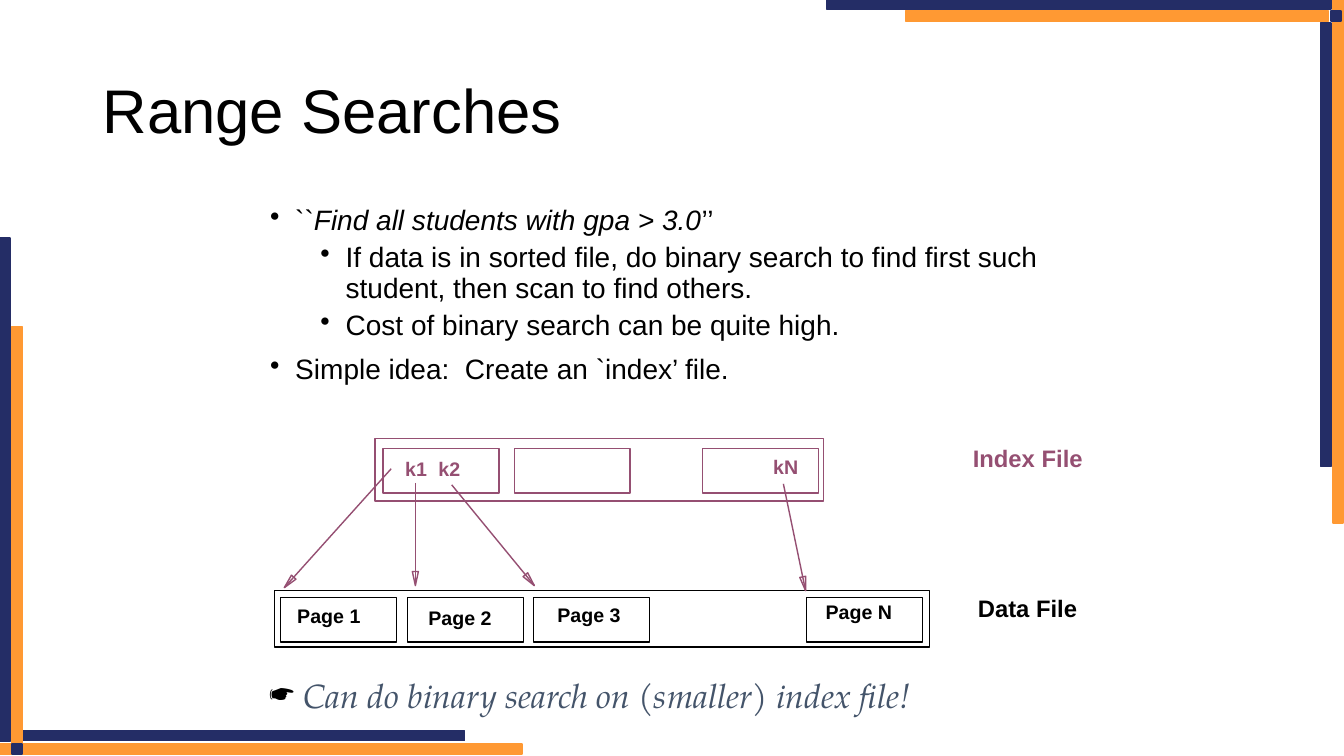
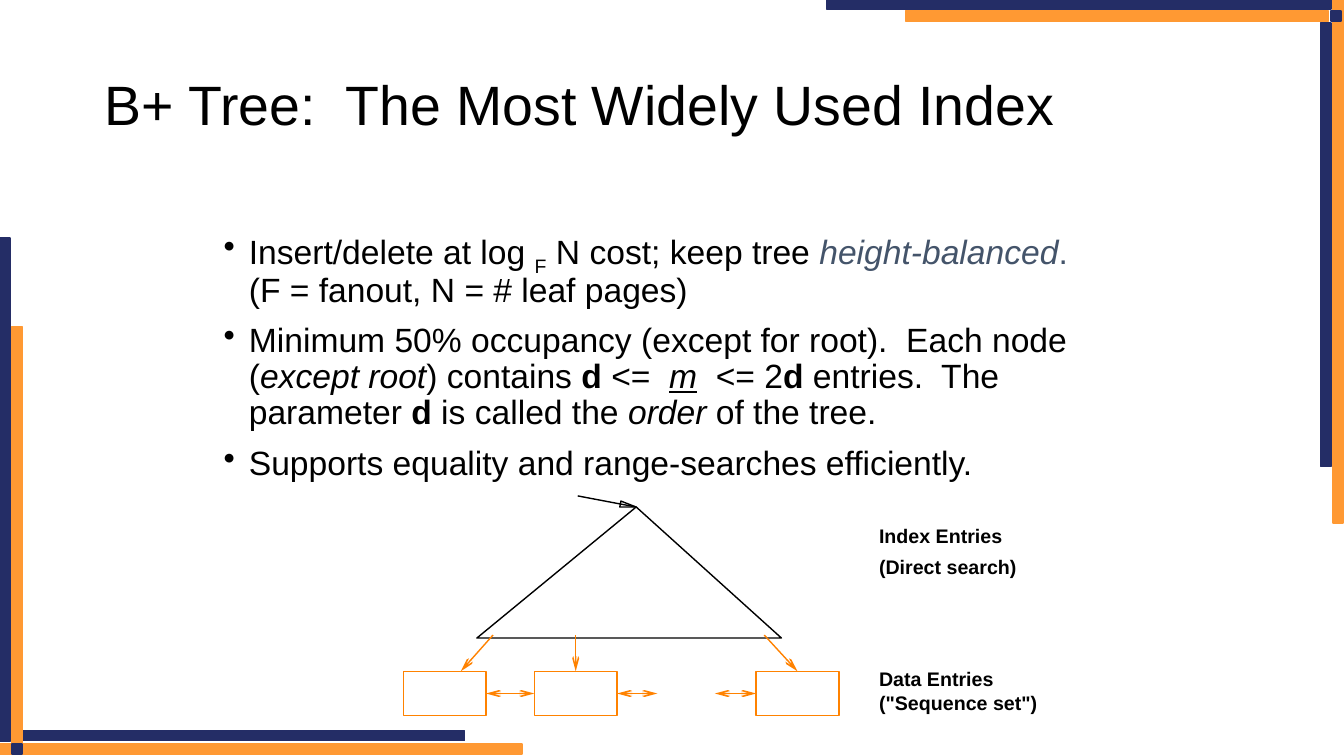
from dataclasses import dataclass
from math import hypot

from lxml.etree import SubElement
from pptx import Presentation
from pptx.dml.color import RGBColor
from pptx.enum.shapes import MSO_CONNECTOR as Connector, MSO_SHAPE as Shape
from pptx.enum.text import MSO_ANCHOR as Anchor
from pptx.oxml.ns import qn
from pptx.util import Emu, Pt

PX = 9144  # EMU in one px, 100 px to the inch
TOP, LEFT, RIGHT = 0, 1, 3  # connection sites of a rectangle


@dataclass(frozen=True)
class Theme:
    font: str = "Arial"
    note_font: str = "TeX Gyre Pagella"
    ink: str = "000000"
    navy: str = "242D66"
    orange: str = "FF9933"
    leaf: str = "FF8200"
    plum: str = "954F72"
    accent: str = "44546A"
    line: int = 1
    label: int = 14
    file_label: int = 17
    note: int = 24


THEME = Theme()

BANDS = [  # left, top, width, height, colour
    (1322, -1, 10, 520, THEME.orange), (1310, 23, 10, 440, THEME.navy),
    (820, -1, 500, 10, THEME.navy), (898, 11, 420, 10, THEME.orange),
    (1320, 11, 10, 10, THEME.navy),
    (-2, 738, 520, 10, THEME.orange), (21, 725, 440, 10, THEME.navy),
    (0, 236, 10, 500, THEME.navy), (12, 324, 10, 420, THEME.orange),
    (12, 738, 10, 10, THEME.navy),
]

# A paragraph is (level, spans); a span is (text, style words).
RANGE_TITLE = ("Range Searches", (92, 40, 1150, 145), 44)
RANGE_BODY = [
    (0, [("``", ""), ("Find all students with gpa > 3.0", "italic"), ("’’", "")]),
    (1, [("If data is in sorted file, do binary search to find first such "
          "student, then scan to find others.", "")]),
    (1, [("Cost of binary search can be quite high.", "")]),
    (0, [("Simple idea:  Create an `index’ file.", "")]),
]
RANGE_NOTE = [(" ", ""), ("Can do binary search on (smaller) index file!", "italic accent")]
FILES = [  # colour, frame, cell top, cell lefts
    (THEME.plum, (372, 435, 445, 62), 445, (380, 510, 697)),
    (THEME.ink, (272, 586, 650, 56), 593, (278, 404, 529, 800)),
]
CELL = (115, 44)
KEY_ARROWS = [
    ((388, 465), (282, 583)), ((412, 479), (412, 581)),
    ((448, 481), (530, 581)), ((777, 480), (799, 586)),
]
RANGE_LABELS = [  # text, left, top, width, size, colour
    ("k1", 392, 448, 42, THEME.label, THEME.plum),
    ("k2", 425, 448, 42, THEME.label, THEME.plum),
    ("kN", 757, 446, 45, THEME.label, THEME.plum),
    ("Page 1", 285, 594, 83, THEME.label, THEME.ink),
    ("Page 2", 415, 596, 83, THEME.label, THEME.ink),
    ("Page 3", 543, 593, 83, THEME.label, THEME.ink),
    ("Page N", 809, 590, 86, THEME.label, THEME.ink),
    ("Index File", 955, 435, 130, THEME.file_label, THEME.plum),
    ("Data File", 960, 584, 120, THEME.file_label, THEME.ink),
]

TREE_TITLE = ("B+ Tree:  The Most Widely Used Index", (94, 46, 995, 121), 39.6)
TREE_BODY = [
    (0, [("Insert/delete at log ", ""), ("F", "subscript"), (" N cost; keep tree ", ""),
         ("height-balanced", "italic accent"), (".", "accent"), ("\v", ""),
         ("(F = fanout, N = # leaf pages)", "")]),
    (0, [("Minimum 50% occupancy (except for root).  Each node (", ""),
         ("except root", "italic"), (") contains ", ""), ("d", "bold"), (" <=  ", ""),
         ("m", "italic underline"), ("  <= 2", ""), ("d", "bold"),
         (" entries.  The parameter ", ""), ("d", "bold"), (" is called the ", ""),
         ("order", "italic"), (" of the tree.", "")]),
    (0, [("Supports equality and range-searches efficiently.", "")]),
]
TRIANGLE = (473, 503, 302, 130)
APEX = (631, 503)
ROOT_POINTER_START = (573, 492)
LEAF_LEFTS = (400, 530, 750)
LEAF_TOP, LEAF_WIDTH, LEAF_HEIGHT = 666, 82, 44
TREE_LABELS = [
    (text, 862, top, width, THEME.label, THEME.ink)
    for text, top, width in [
        ("Index Entries", 515, 143), ("(Direct search)", 546, 157),
        ("Data Entries", 657, 134), ('("Sequence set")', 681, 178),
    ]
]


def px(*lengths):
    return [Emu(round(length * PX)) for length in lengths]


def rgb(colour):
    return RGBColor.from_string(colour)


def outline(shape, colour):
    shape.line.color.rgb = rgb(colour)
    shape.line.width = Pt(THEME.line)


def add_box(page, place, colour, fill=None, preset=Shape.RECTANGLE):
    box = page.shapes.add_shape(preset, *px(*place))
    box.shadow.inherit = False
    outline(box, colour)
    if fill:
        box.fill.solid()
        box.fill.fore_color.rgb = rgb(fill)
    else:
        box.fill.background()
    return box


def add_line(page, start, end, colour, heads=()):
    """Draw a straight connector; heads lists which of headEnd, tailEnd get an open arrow."""
    line = page.shapes.add_connector(Connector.STRAIGHT, *px(*start, *end))
    outline(line, colour)
    for head in heads:
        SubElement(line.get_or_add_ln(), qn(f"a:{head}"), type="arrow", w="sm", len="lg")
    SubElement(line._element.spPr, qn("a:effectLst"))
    return line


def add_hollow_arrow(page, start, end, colour, length=14, half_width=3):
    """Draw a line whose head is an unfilled triangle."""
    add_line(page, start, end, colour)
    (x0, y0), (x1, y1) = start, end
    reach = hypot(x1 - x0, y1 - y0)
    ux, uy = (x1 - x0) / reach, (y1 - y0) / reach
    base_x, base_y = x1 - length * ux, y1 - length * uy
    corners = [(base_x + side * uy, base_y - side * ux) for side in (half_width, -half_width)]
    builder = page.shapes.build_freeform(*px(*end))
    builder.add_line_segments([px(*corner) for corner in corners], close=True)
    head = builder.convert_to_shape()
    head.shadow.inherit = False
    head.fill.background()
    outline(head, colour)


def style_run(run, size, words="", colour=THEME.ink, font=THEME.font):
    run.font.name = font
    run.font.size = Pt(size)
    run.font.color.rgb = rgb(THEME.accent if "accent" in words else colour)
    run.font.bold = "bold" in words
    run.font.italic = "italic" in words
    run.font.underline = "underline" in words
    if "subscript" in words:
        run._r.get_or_add_rPr().set("baseline", "-25000")


def add_spans(para, spans, size, font=THEME.font):
    for text, words in spans:
        if text == "\v":
            para.add_line_break()
            continue
        span = para.add_run()
        span.text = text
        style_run(span, size, words, font=font)


def set_bullet(para, char, margin=0, indent=0):
    properties = para._p.get_or_add_pPr()
    properties.set("marL", str(margin * PX))
    properties.set("indent", str(indent * PX))
    SubElement(properties, qn("a:buChar"), char=char)


def add_text_frame(page, place, wrap=True):
    frame = page.shapes.add_textbox(*px(*place)).text_frame
    frame.word_wrap = wrap
    return frame


def add_title(page, text, place, size):
    frame = add_text_frame(page, place)
    frame.vertical_anchor = Anchor.MIDDLE
    frame.text = text
    frame.paragraphs[0].line_spacing = 0.9
    style_run(frame.paragraphs[0].runs[0], size)


def add_body(page, paragraphs, place, size):
    frame = add_text_frame(page, place)
    for number, (level, spans) in enumerate(paragraphs):
        para = frame.add_paragraph() if number else frame.paragraphs[0]
        para.level = level
        para.line_spacing = 0.9
        para.space_before = Pt(5 if level else 10)
        set_bullet(para, "•", 25 + 50 * level, -25)
        add_spans(para, spans, size)


def add_labels(page, labels):
    for text, left, top, width, size, colour in labels:
        frame = add_text_frame(page, (left, top, width, 33 if size == THEME.label else 38), False)
        frame.text = text
        style_run(frame.paragraphs[0].runs[0], size, "bold", colour)


def add_page(deck, title):
    page = deck.slides.add_slide(deck.slide_layouts[6])
    for *place, colour in BANDS:
        add_box(page, place, colour, fill=colour)
    add_title(page, *title)
    return page


def build_range_page(deck):
    page = add_page(deck, RANGE_TITLE)
    add_body(page, RANGE_BODY, (258, 200, 867, 550), 20)
    for colour, frame, top, lefts in FILES:
        add_box(page, frame, colour)
        for left in lefts:
            add_box(page, (left, top, *CELL), colour)
    for start, end in KEY_ARROWS:
        add_hollow_arrow(page, start, end, THEME.plum)
    add_labels(page, RANGE_LABELS)
    note = add_text_frame(page, (257, 665, 669, 50), False).paragraphs[0]
    set_bullet(note, "☛")
    add_spans(note, RANGE_NOTE, THEME.note, THEME.note_font)


def build_tree_page(deck):
    page = add_page(deck, TREE_TITLE)
    add_body(page, TREE_BODY, (212, 225, 908, 325), 24)
    triangle = add_box(page, TRIANGLE, THEME.ink, preset=Shape.ISOSCELES_TRIANGLE)
    triangle.adjustments[0] = (APEX[0] - TRIANGLE[0]) / TRIANGLE[2]
    add_hollow_arrow(page, ROOT_POINTER_START, APEX, THEME.ink, 16)

    first, second, last = [
        add_box(page, (left, LEAF_TOP, LEAF_WIDTH, LEAF_HEIGHT), THEME.leaf)
        for left in LEAF_LEFTS
    ]
    middle = LEAF_TOP + LEAF_HEIGHT // 2
    links = [  # start, end, joined start, joined end
        ((482, middle), (530, middle), first, second),
        ((612, middle), (652, middle), second, None),
        ((709, middle), (750, middle), None, last),
    ]
    for start, end, source, target in links:
        link = add_line(page, start, end, THEME.leaf, ("headEnd", "tailEnd"))
        if source:
            link.begin_connect(source, RIGHT)
        if target:
            link.end_connect(target, LEFT)

    for start, end, target in [
        ((489, 630), (457, LEAF_TOP), None),
        ((571, 630), (571, LEAF_TOP), second),
        ((758, 630), (791, LEAF_TOP), last),
    ]:
        pointer = add_line(page, start, end, THEME.leaf, ("tailEnd",))
        if target:
            pointer.end_connect(target, TOP)
    add_labels(page, TREE_LABELS)


def main():
    deck = Presentation()
    deck.slide_width, deck.slide_height = px(1333, 750)
    build_range_page(deck)
    build_tree_page(deck)
    deck.save("out.pptx")


if __name__ == "__main__":
    main()
